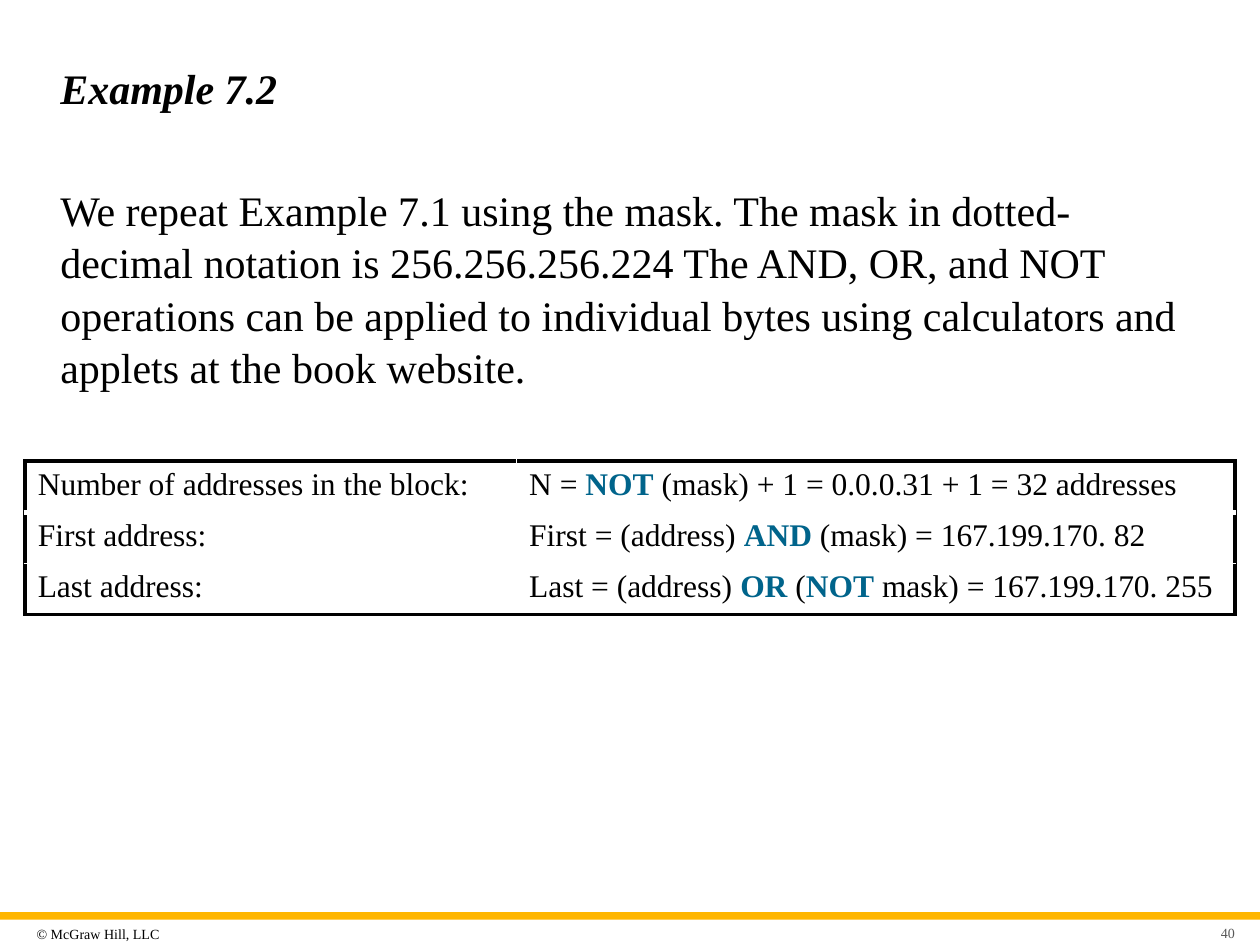
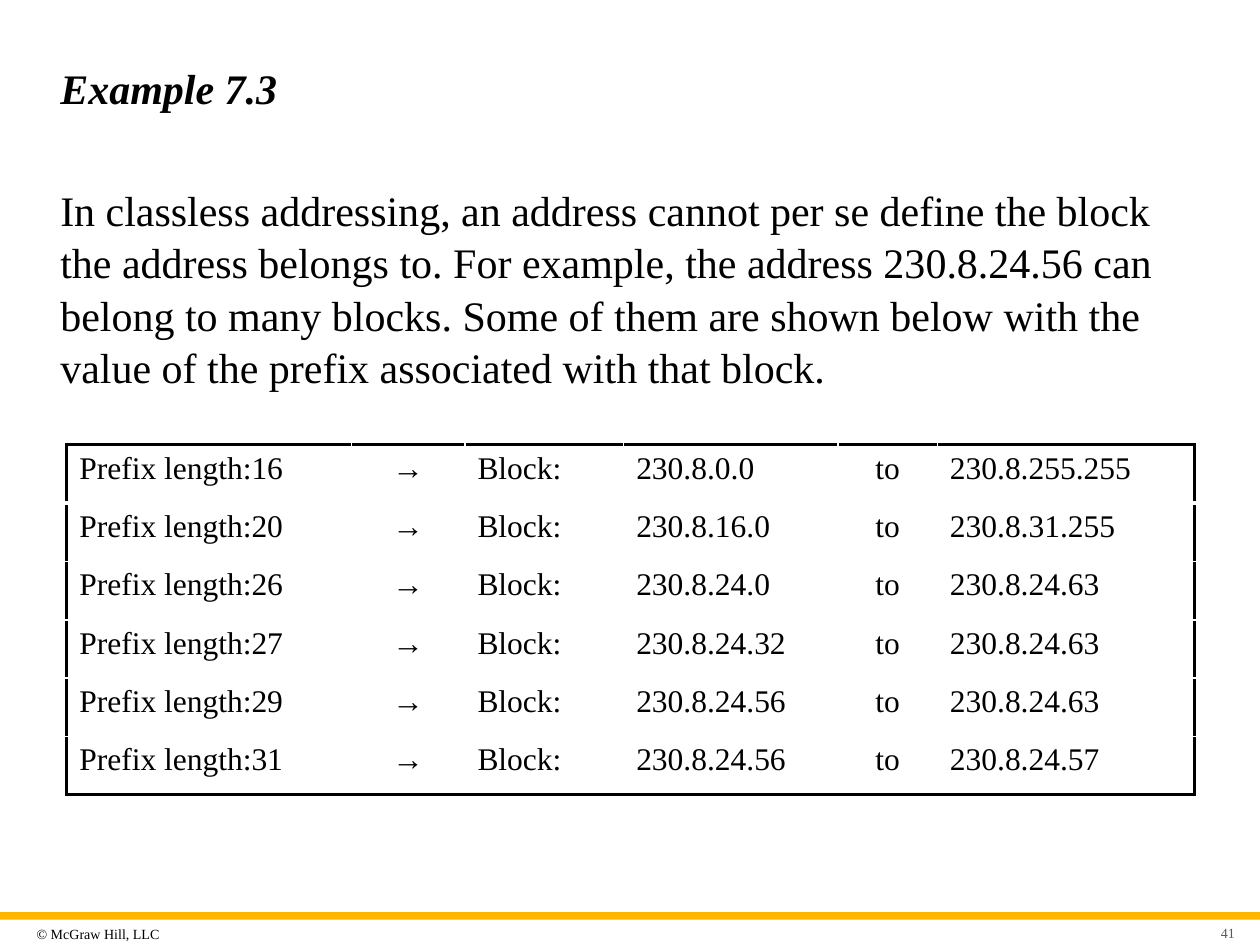
from lxml import etree
from pptx import Presentation
from pptx import util as u
from pptx.dml.color import RGBColor
from pptx.enum import shapes, text
from pptx.oxml.ns import qn

FONT = "Times New Roman"
BLACK, WHITE, GOLD, GRAY, TEAL = "000000", "FFFFFF", "FFB600", "595959", "00648B"
OUTLINE, HAIRLINE, HEADER_LINE = (BLACK, 2.25), (WHITE, 1), (WHITE, 3)
LEFT, CENTER, RIGHT = text.PP_ALIGN.LEFT, text.PP_ALIGN.CENTER, text.PP_ALIGN.RIGHT
TOP, MIDDLE = text.MSO_ANCHOR.TOP, text.MSO_ANCHOR.MIDDLE


def color(hex_string):
    return RGBColor.from_string(hex_string)


def inches(box):
    return [u.Inches(length) for length in box]


def add_span(para, words, size, hex_string=BLACK, **styles):
    span = para.add_run()
    span.text = words
    formats = {"name": FONT, "size": u.Pt(size), **styles}
    for name, value in formats.items():
        setattr(span.font, name, value)
    span.font.color.rgb = color(hex_string)


def add_text(page, box, words, size, hex_string=BLACK, anchor=MIDDLE,
             margins=(0.1, 0.05, 0.1, 0.05), layout=None, **styles):
    frame = page.shapes.add_textbox(*inches(box)).text_frame
    formats = {"word_wrap": True, "vertical_anchor": anchor}
    for side, margin in zip(("left", "top", "right", "bottom"), margins):
        formats[f"margin_{side}"] = u.Inches(margin)
    for name, value in formats.items():
        setattr(frame, name, value)
    para = frame.paragraphs[0]
    for name, value in (layout or {}).items():
        setattr(para, name, value)
    add_span(para, words, size, hex_string, **styles)


def add_footer(page, number):
    # Gold band, copyright line and page number
    band = page.shapes.add_shape(shapes.MSO_SHAPE.RECTANGLE, *inches((0, 7.24, 10, 0.06)))
    band.shadow.inherit = False
    band.fill.solid()
    band.fill.fore_color.rgb = color(GOLD)
    band.line.fill.background()
    add_text(page, (0.24, 7.29, 1.35, 0.24), "© McGraw Hill, LLC", 8, margins=[0.05] * 4)
    add_text(page, (9.46, 7.31, 0.39, 0.18), str(number), 8, GRAY,
             margins=(0.1, 0.05, 0.05, 0.05), layout={"alignment": RIGHT})


def set_borders(cell, borders):
    properties = cell._tc.get_or_add_tcPr()
    for side in "LRTB":
        hex_string, width = borders[side]
        line = etree.SubElement(properties, qn(f"a:ln{side}"), w=str(u.Pt(width)))
        fill = etree.SubElement(line, qn("a:solidFill"))
        etree.SubElement(fill, qn("a:srgbClr"), val=hex_string)


def add_outlined_table(page, box, widths, rows, alignments):
    """Words between asterisks become bold teal operators."""
    table = page.shapes.add_table(len(rows), len(widths), *inches(box)).table
    table.first_row = table.horz_banding = False
    for column, width in zip(table.columns, widths):
        column.width = u.Inches(width)
    last_row, last_column = len(rows) - 1, len(widths) - 1
    for r, row in enumerate(rows):
        table.rows[r].height = u.Inches(box[3] / len(rows))
        for c, words in enumerate(row):
            cell = table.cell(r, c)
            inner_bottom = HEADER_LINE if r == 0 else HAIRLINE
            set_borders(cell, {
                "L": OUTLINE if c == 0 else HAIRLINE,
                "R": OUTLINE if c == last_column else HAIRLINE,
                "T": OUTLINE if r == 0 else HAIRLINE,
                "B": OUTLINE if r == last_row else inner_bottom,
            })
            cell.fill.solid()
            cell.fill.fore_color.rgb = color(WHITE)
            para = cell.text_frame.paragraphs[0]
            para.alignment = alignments[c]
            for index, part in enumerate(words.split("*")):
                operator = index % 2 == 1
                if part:
                    add_span(para, part, 18, TEAL if operator else BLACK, bold=operator)


def add_example(deck, number, title, body, **table):
    page = deck.slides.add_slide(deck.slide_layouts[6])
    add_footer(page, number)
    add_text(page, (0.38, 0.33, 9.25, 0.74), title, 24, bold=True, italic=True)
    add_text(page, (0.38, 1.4, 9.25, 1.82), body, 24, anchor=TOP,
             layout={"space_after": u.Pt(8), "line_spacing": 1.04})
    add_outlined_table(page, **table)


def main():
    deck = Presentation()
    deck.slide_width, deck.slide_height = inches((10, 7.5))

    # Mask operations
    add_example(
        deck, 40, "Example 7.2",
        "We repeat Example 7.1 using the mask. The mask in dotted-decimal notation is "
        "256.256.256.224 The AND, OR, and NOT operations can be applied to individual "
        "bytes using calculators and applets at the book website.",
        box=(0.2, 3.66, 9.6, 1.22),
        widths=(3.9, 5.7),
        alignments=(LEFT, LEFT),
        rows=[
            ("Number of addresses in the block:",
             "N = *NOT* (mask) + 1 = 0.0.0.31 + 1 = 32 addresses"),
            ("First address:", "First = (address) *AND* (mask) = 167.199.170. 82"),
            ("Last address:", "Last = (address) *OR* (*NOT* mask) = 167.199.170. 255"),
        ])

    # Blocks that share one address
    blocks = [
        (16, "230.8.0.0", "230.8.255.255"),
        (20, "230.8.16.0", "230.8.31.255"),
        (26, "230.8.24.0", "230.8.24.63"),
        (27, "230.8.24.32", "230.8.24.63"),
        (29, "230.8.24.56", "230.8.24.63"),
        (31, "230.8.24.56", "230.8.24.57"),
    ]
    add_example(
        deck, 41, "Example 7.3",
        "In classless addressing, an address cannot per se define the block the address "
        "belongs to. For example, the address 230.8.24.56 can belong to many blocks. Some "
        "of them are shown below with the value of the prefix associated with that block.",
        box=(0.53, 3.53, 8.94, 2.78),
        widths=(2.26, 0.9, 1.26, 1.7, 0.79, 2.04),
        alignments=(LEFT, CENTER, LEFT, LEFT, CENTER, LEFT),
        rows=[(f"Prefix length:{prefix}", "→", "Block:", first, "to", last)
              for prefix, first, last in blocks])

    deck.save("out.pptx")


if __name__ == "__main__":
    main()
